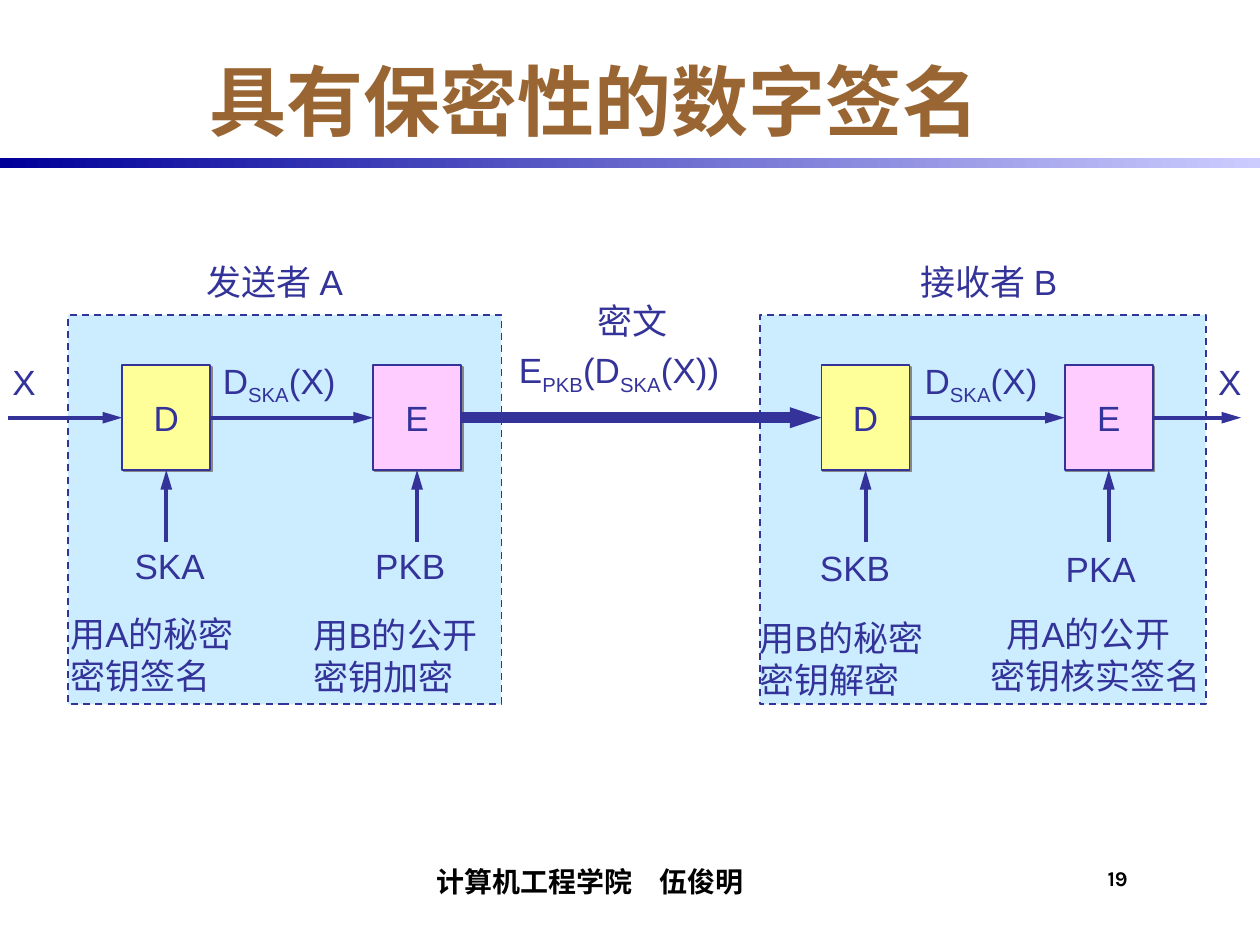
from lxml.etree import SubElement
from pptx import Presentation
from pptx.dml.color import RGBColor
from pptx.enum.dml import MSO_LINE
from pptx.enum.shapes import MSO_CONNECTOR, MSO_SHAPE
from pptx.enum.text import MSO_ANCHOR, MSO_AUTO_SIZE, PP_ALIGN
from pptx.oxml.ns import qn
from pptx.util import Inches, Pt

COLORS = {"ink": "333399", "panel": "CCECFF", "sign": "FFFF99", "crypt": "FFCCFF",
          "title": "996633", "black": "000000", "shade": "868686",
          "dark": "000099", "light": "CCCCFF"}

TITLE = "具有保密性的数字签名 "
FOOTER = "计算机工程学院　伍俊明"
NUMBER = "19"
PANELS = [(6.03, 3.54), (0.54, 3.44)]
BOXES = {"sign": ("D", 0.97, "sign"), "seal": ("E", 2.96, "crypt"),
         "open": ("D", 6.52, "sign"), "check": ("E", 8.45, "crypt")}
BOX_TOP, BOX_W, BOX_H = 2.9, 0.7, 0.83
MID = BOX_TOP + BOX_H / 2
KEY_Y = 4.3
FLOWS = [("sign", "seal", 2.25), ("seal", "open", 6), ("open", "check", 2.25)]
LABELS = [
    ("发送者 A", 1.54, 2.02, 1.35, 0.43),
    ("接收者 B", 7.21, 2.02, 1.35, 0.43),
    ("密文", 4.64, 2.33, 0.76, 0.43),
    ("X", 0, 2.81, 0.38, 0.43),
    ("X", 9.57, 2.81, 0.38, 0.43),
    ("D_SKA_(X)", 1.67, 2.8, 1.2, 0.48),
    ("D_SKA_(X)", 7.24, 2.8, 1.2, 0.48),
    ("E_PKB_(D_SKA_(X))", 4.02, 2.72, 1.9, 0.48),
    ("SKA", 0.97, 4.27, 0.76, 0.43),
    ("PKB", 2.88, 4.27, 0.76, 0.43),
    ("SKB", 6.41, 4.29, 0.76, 0.43),
    ("PKA", 8.36, 4.3, 0.76, 0.43),
    ("用A的秘密\n密钥签名", 0.46, 4.81, 1.63, 0.76),
    ("用B的公开\n密钥加密", 2.39, 4.82, 1.63, 0.76),
    ("用B的秘密\n密钥解密", 5.93, 4.84, 1.63, 0.76),
]
CHECK = ("用A的公开\n密钥核实签名", 7.76, 4.81, 1.87, 0.76)

prs = Presentation()
prs.slide_width, prs.slide_height = Inches(10), Inches(7.5)
slide = prs.slides.add_slide(prs.slide_layouts[6])
shapes = slide.shapes


def rgb(name):
    return RGBColor.from_string(COLORS[name])


def style(font, size, color, face="Arial", bold=False):
    font.size, font.name, font.bold = Pt(size), face, bold
    font.color.rgb = rgb(color)


def write(para, text, *look):
    for i, part in enumerate(text.split("_")):
        run = para.add_run()
        run.text = part
        style(run.font, *look)
        if i % 2:
            run._r.get_or_add_rPr().set("baseline", "-25000")


def label(text, x, y, w, h):
    frame = shapes.add_textbox(*map(Inches, (x, y, w, h))).text_frame
    frame.word_wrap = False
    frame.auto_size = (MSO_AUTO_SIZE.NONE if "_" in text
                       else MSO_AUTO_SIZE.SHAPE_TO_FIT_TEXT)
    for i, line in enumerate(text.split("\n")):
        para = frame.add_paragraph() if i else frame.paragraphs[0]
        write(para, line, 20, "ink")
    return frame


def block(text, at, anchor, align, pads, *look):
    frame = shapes.add_textbox(*map(Inches, at)).text_frame
    frame.word_wrap = True
    frame.vertical_anchor = anchor
    (frame.margin_left, frame.margin_top,
     frame.margin_right, frame.margin_bottom) = map(Inches, pads)
    frame.text = text
    frame.paragraphs[0].alignment = align
    style(frame.paragraphs[0].runs[0].font, *look)


def rect(x, y, w, h, fill):
    shape = shapes.add_shape(MSO_SHAPE.RECTANGLE, *map(Inches, (x, y, w, h)))
    shape.shadow.inherit = False
    shape.fill.solid()
    shape.fill.fore_color.rgb = rgb(fill)
    shape.line.color.rgb = rgb("ink")
    shape.line.width = Pt(1)
    return shape


def shade(shape):
    effects = shape._element.spPr.find(qn("a:effectLst"))
    outer = SubElement(effects, qn("a:outerShdw"), dist=str(Pt(1.4)),
                       dir="2700000", algn="ctr", rotWithShape="0")
    SubElement(outer, qn("a:srgbClr"), val=COLORS["shade"])


def arrow(x1, y1, x2, y2, width=2.25, start=None, end=None):
    line = shapes.add_connector(MSO_CONNECTOR.STRAIGHT, *map(Inches, (x1, y1, x2, y2)))
    if start:
        line.begin_connect(*start)
    if end:
        line.end_connect(*end)
    line.line.color.rgb = rgb("ink")
    line.line.width = Pt(width)
    broad, long = ("sm", "med") if width > 3 else ("med", "lg")
    SubElement(line.line._get_or_add_ln(), qn("a:tailEnd"),
               type="triangle", w=broad, len=long)
    SubElement(line._element.spPr, qn("a:effectLst"))


band = rect(0, 1.25, 10, 0.08, "dark")
band.line.fill.background()
band.fill.gradient()
band.fill.gradient_angle = 0
for stop, name in zip(band.fill.gradient_stops, ("dark", "light")):
    stop.color.rgb = rgb(name)

block(NUMBER, (8.75, 6.83, 0.58, 0.42), MSO_ANCHOR.TOP, PP_ALIGN.LEFT,
      (0.04, 0.04, 0, 0), 12, "black", "Karla", True)
block(FOOTER, (2.08, 6.75, 5.17, 0.42), MSO_ANCHOR.BOTTOM, PP_ALIGN.CENTER,
      (0.04, 0, 0, 0.04), 16, "black", "Karla", True)
block(TITLE, (0.92, 0.33, 7.74, 0.92), MSO_ANCHOR.MIDDLE, PP_ALIGN.CENTER,
      (0.1, 0.05, 0.1, 0.05), 44, "title", "Arial", True)

for x, w in PANELS:
    rect(x, 2.5, w, 3.09, "panel").line.dash_style = MSO_LINE.DASH

nodes = {}
for key, (text, x, fill) in BOXES.items():
    node = nodes[key] = rect(x, BOX_TOP, BOX_W, BOX_H, fill)
    shade(node)
    frame = node.text_frame
    frame.word_wrap = False
    frame.vertical_anchor = MSO_ANCHOR.MIDDLE
    frame.text = text
    frame.paragraphs[0].alignment = PP_ALIGN.CENTER
    style(frame.paragraphs[0].runs[0].font, 20, "ink")
    mid = x + BOX_W / 2
    arrow(mid, KEY_Y, mid, BOX_TOP + BOX_H, end=(node, 2))

for a, b, width in FLOWS:
    arrow(BOXES[a][1] + BOX_W, MID, BOXES[b][1], MID, width, (nodes[a], 3), (nodes[b], 1))
arrow(0.06, MID, BOXES["sign"][1], MID, end=(nodes["sign"], 1))
arrow(BOXES["check"][1] + BOX_W, MID, 9.85, MID, start=(nodes["check"], 3))

for item in LABELS:
    label(*item)
first = label(*CHECK).paragraphs[0]
first._p.get_or_add_pPr().set("marL", str(Inches(0.13)))

prs.save("out.pptx")
